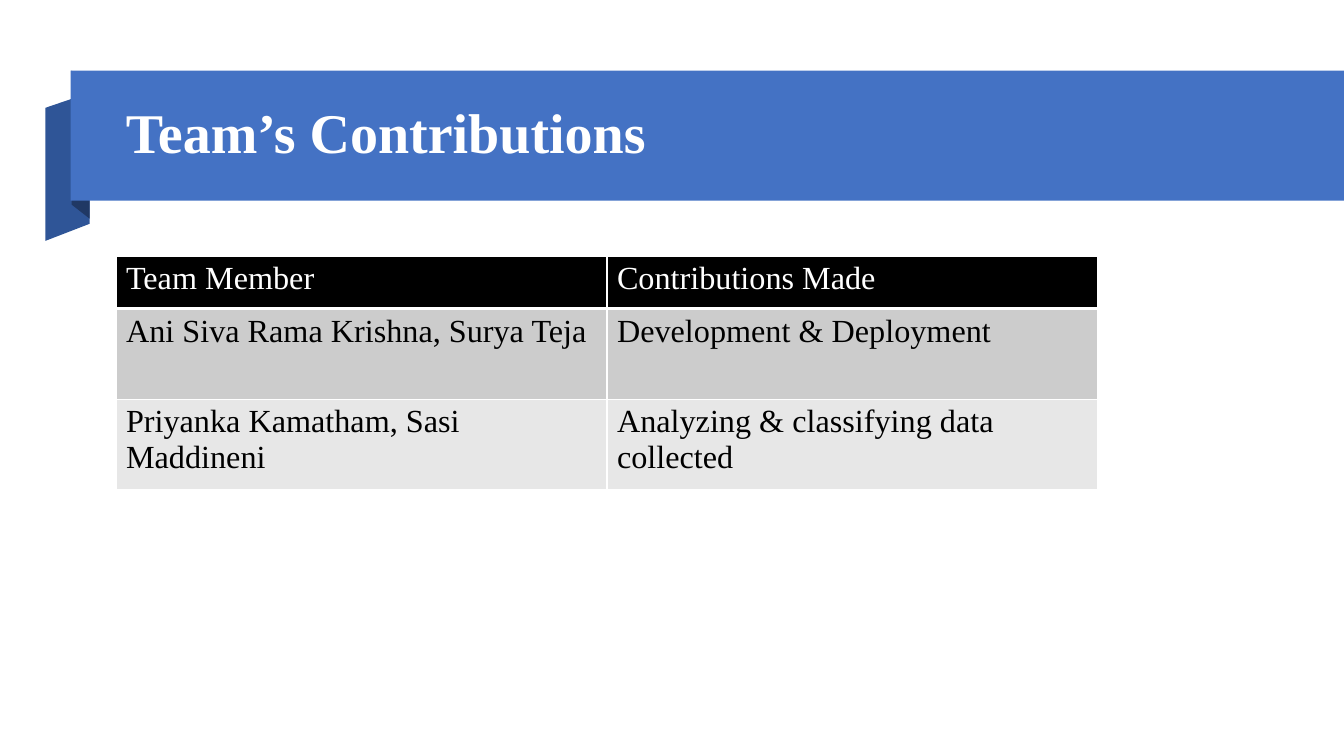
from lxml import etree
from pptx import Presentation
from pptx.dml.color import RGBColor
from pptx.enum.shapes import MSO_SHAPE
from pptx.enum.text import MSO_ANCHOR
from pptx.oxml.ns import qn
from pptx.util import Inches, Pt

RECTANGLE = MSO_SHAPE.RECTANGLE
MIDDLE = MSO_ANCHOR.MIDDLE

BLUE, FOLD_BLUE, DARK_BLUE = "4472C4", "2F5597", "203864"
WHITE, BLACK = "FFFFFF", "000000"
BAND_COLORS = ("CCCCCC", "E7E7E7")


def rgb(hex_color):
    return RGBColor.from_string(hex_color)


class SlideBuilder:
    font_name = "Times New Roman"

    def __init__(self, slide):
        self.slide = slide

    def paint(self, shape, color):
        shape.shadow.inherit = False
        shape.fill.solid()
        shape.fill.fore_color.rgb = rgb(color)
        shape.line.fill.background()

    def outline(self, points, color):
        start, *rest = [(Inches(x), Inches(y)) for x, y in points]
        builder = self.slide.shapes.build_freeform(*start)
        builder.add_line_segments(rest, close=True)
        self.paint(builder.convert_to_shape(), color)

    def bar(self, box, color):
        bounds = [Inches(length) for length in box]
        self.paint(self.slide.shapes.add_shape(RECTANGLE, *bounds), color)

    def add_text(self, paragraph, text, color, **font_format):
        run = paragraph.add_run()
        run.text = text
        for name, value in {"name": self.font_name, **font_format}.items():
            setattr(run.font, name, value)
        run.font.color.rgb = rgb(color)

    def title(self, box, text):
        bounds = [Inches(length) for length in box]
        frame = self.slide.shapes.add_textbox(*bounds).text_frame
        for name, value in {"word_wrap": True, "vertical_anchor": MIDDLE}.items():
            setattr(frame, name, value)
        heading = frame.paragraphs[0]
        heading.line_spacing = 0.9
        self.add_text(heading, text, WHITE, size=Pt(40), bold=True)

    def borders(self, cell, widths):
        properties = cell._tc.get_or_add_tcPr()
        for index, (side, width) in enumerate(widths.items()):
            line = etree.Element(qn(f"a:ln{side}"), w=str(Pt(width)))
            fill = etree.SubElement(line, qn("a:solidFill"))
            etree.SubElement(fill, qn("a:srgbClr"), val=WHITE)
            properties.insert(index, line)

    def table(self, left, top, column_width, row_heights, rows):
        columns = len(rows[0])
        grid = self.slide.shapes.add_table(
            len(rows), columns, Inches(left), Inches(top),
            Inches(column_width * columns), Inches(sum(row_heights))).table
        for column in grid.columns:
            column.width = Inches(column_width)
        for index, (height, texts) in enumerate(zip(row_heights, rows)):
            grid.rows[index].height = Inches(height)
            header = index == 0
            fill = BLACK if header else BAND_COLORS[(index - 1) % 2]
            for cell, text in zip(grid.rows[index].cells, texts):
                cell.fill.solid()
                cell.fill.fore_color.rgb = rgb(fill)
                self.borders(cell, {"L": 1, "R": 1, "T": 1, "B": 3 if header else 1})
                self.add_text(cell.text_frame.paragraphs[0], text,
                              WHITE if header else BLACK, size=Pt(23))


def main():
    presentation = Presentation()
    presentation.slide_width = Inches(13.33)
    presentation.slide_height = Inches(7.5)
    blank_layout = presentation.slide_layouts[6]
    page = SlideBuilder(presentation.slides.add_slide(blank_layout))

    # Folded ribbon behind the title
    page.outline([(0.89, 2.22), (0.45, 2.39), (0.45, 1.07), (0.89, 0.92)], FOLD_BLUE)
    page.outline([(0.89, 2.17), (0.71, 2.03), (0.71, 0.7), (0.89, 0.85)], DARK_BLUE)
    page.bar((0.7, 0.7, 12.63, 1.29), BLUE)

    # Title
    page.title((1.15, 0.86, 11.27, 0.96), "Team’s Contributions")

    # Contributions by team member
    page.table(1.15, 2.54, 4.87, (0.52, 0.9, 0.9), [
        ("Team Member", "Contributions Made"),
        ("Ani Siva Rama Krishna, Surya Teja", "Development & Deployment"),
        ("Priyanka Kamatham, Sasi Maddineni", "Analyzing & classifying data collected"),
    ])

    presentation.save("out.pptx")


if __name__ == "__main__":
    main()
